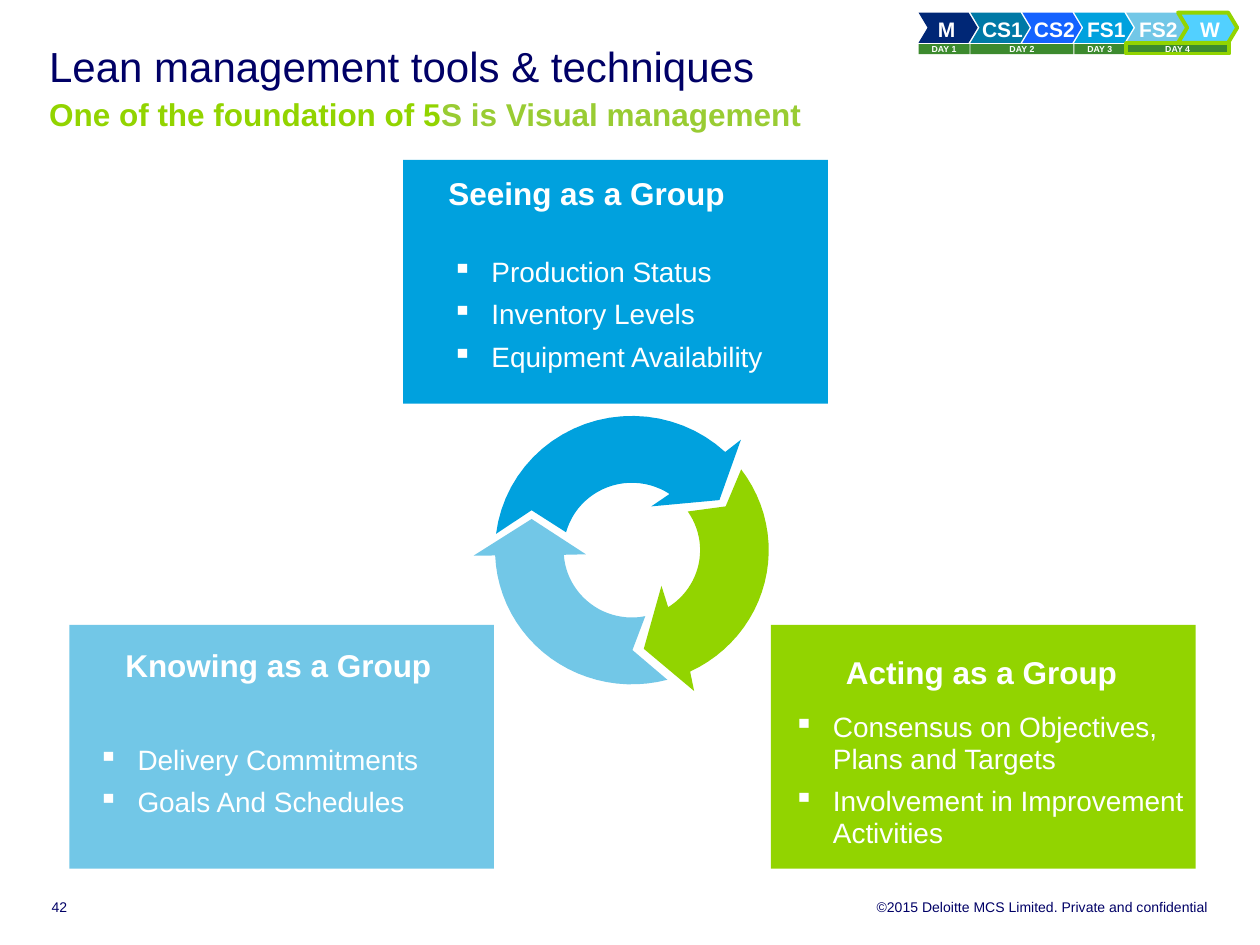
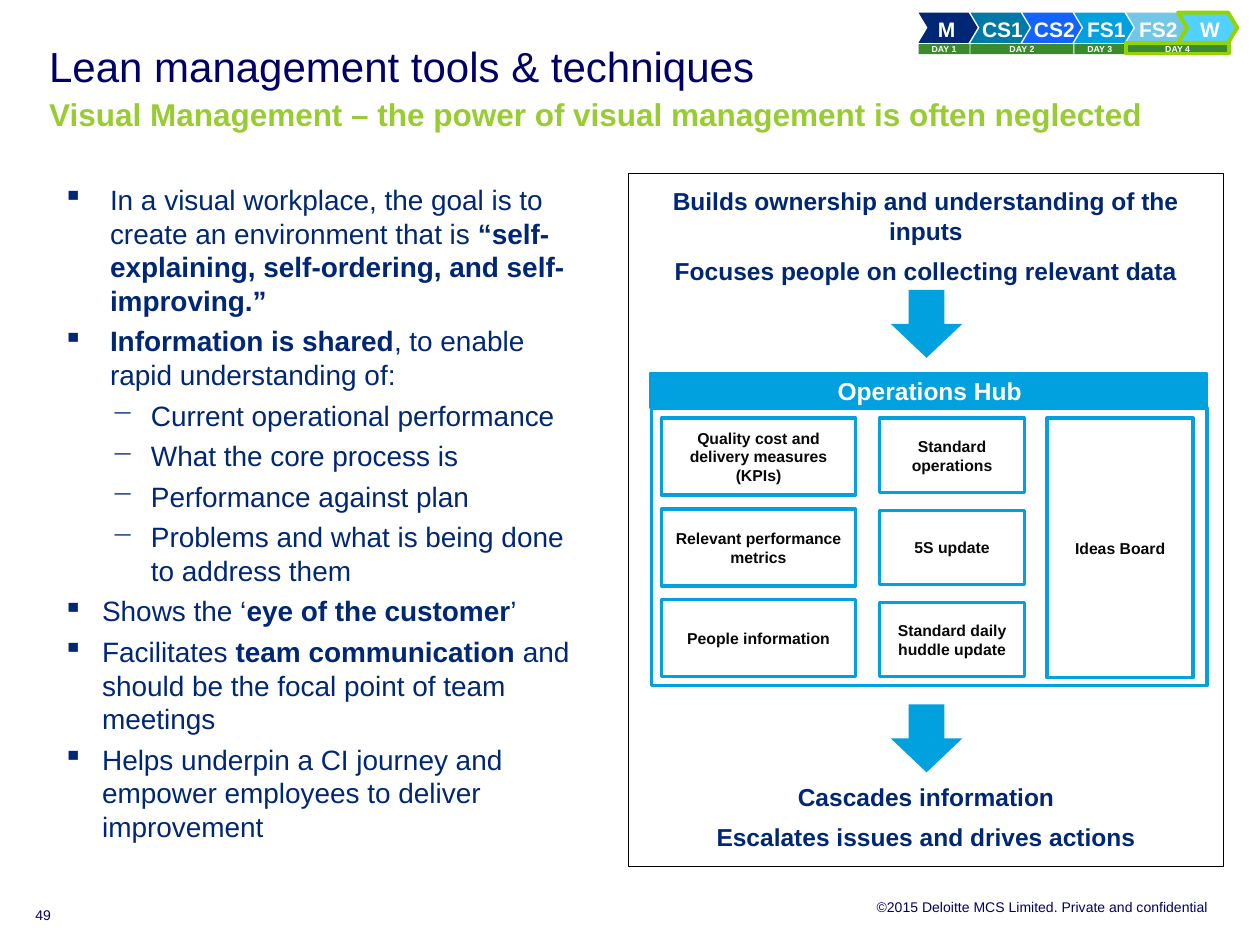
from dataclasses import dataclass
from math import cos, radians, sin

from pptx import Presentation
from pptx.dml.color import RGBColor
from pptx.enum.shapes import MSO_SHAPE
from pptx.enum.text import MSO_ANCHOR, PP_ALIGN
from pptx.oxml.xmlchemy import OxmlElement
from pptx.util import Pt


@dataclass(frozen=True)
class Theme:
    font: str = "Arial"
    title_navy: str = "000066"
    navy: str = "002776"
    teal: str = "0079A6"
    royal: str = "1462FF"
    blue: str = "00A1DE"
    sky: str = "72C7E7"
    bright_sky: str = "52D0FF"
    lime: str = "92D400"
    soft_lime: str = "99CC33"
    day_green: str = "3C8A2E"
    white: str = "FFFFFF"
    black: str = "000000"
    ink: str = "080808"
    title_size: float = 24
    heading_size: float = 18
    body_size: float = 16
    panel_size: float = 14
    step_size: float = 12
    cell_size: float = 9
    footer_size: float = 8
    day_size: float = 5


THEME = Theme()
SQUARE, DASH = "▪", "−"
DEFAULT_INSETS = (7.2, 3.6, 7.2, 3.6)


def write(text_frame, text, *, size, color, bold=False, align=PP_ALIGN.LEFT, line=None,
          before=0, after=0, bullet=None, margin=0, hanging=0, level=0):
    first = text_frame.paragraphs[0]
    is_first = not first.runs
    paragraph = first if is_first else text_frame.add_paragraph()
    paragraph.alignment = align
    paragraph.level = level
    paragraph.space_before = Pt(0 if is_first else before)
    paragraph.space_after = Pt(after)
    if line:
        paragraph.line_spacing = line
    if bullet:
        properties = paragraph._p.get_or_add_pPr()
        properties.set("marL", str(Pt(margin)))
        properties.set("indent", str(-Pt(hanging)))
        character = OxmlElement("a:buChar")
        character.set("char", bullet)
        properties.append(character)
    parts = [(text, {})] if isinstance(text, str) else text
    for content, changes in parts:
        if content == "\n":
            paragraph.add_line_break()
            continue
        run = paragraph.add_run()
        run.text = content
        run.font.name = THEME.font
        run.font.size = Pt(changes.get("size", size))
        run.font.bold = changes.get("bold", bold)
        run.font.color.rgb = RGBColor.from_string(changes.get("color", color))


class SlideBuilder:
    def __init__(self, presentation):
        self.presentation = presentation
        self.theme = THEME
        self.slide = None

    def new_slide(self, title_parts, number, number_box):
        self.slide = self.presentation.slides.add_slide(self.presentation.slide_layouts[6])
        self.footer(number, number_box)
        self.day_tracker()
        frame = self.text_box((28.1, 28.1, 661, 49), insets=(0, 0, 0, 0))
        heading = ("Lean management tools & techniques",
                   {"size": self.theme.title_size, "color": self.theme.title_navy, "bold": False})
        write(frame, [heading, ("\n", {}), *title_parts], size=self.theme.heading_size,
              color=self.theme.soft_lime, bold=True, line=Pt(24))

    def footer(self, number, number_box):
        look = dict(size=self.theme.footer_size, color=self.theme.title_navy)
        frame = self.text_box((244.8, 513.4, 445.7, 9.4), insets=(0, 0, 0, 0))
        write(frame, "©2015 Deloitte MCS Limited. Private and confidential",
              align=PP_ALIGN.RIGHT, **look)
        frame = self.text_box(number_box, insets=(0, 0, 0, 0), anchor=MSO_ANCHOR.BOTTOM)
        write(frame, number, **look)

    def day_tracker(self):
        theme = self.theme
        left, pitch = 524.9, 29.66
        steps = [("M", theme.navy), ("CS1", theme.teal), ("CS2", theme.royal),
                 ("FS1", theme.blue), ("FS2", theme.sky), ("W", theme.bright_sky)]
        for index, (label, fill) in enumerate(steps):
            is_first, is_current = index == 0, label == "W"
            shape = self.shape(MSO_SHAPE.CHEVRON, (left + pitch * index, 7.2, 33.8, 17.3), fill,
                               theme.lime if is_current else None, 2.25)
            shape.adjustments[0] = 0.3
            insets = (5.8, 4.3, 0, 4.3) if is_first else (14.4, 4.3, 11.5, 4.3)
            frame = self.prepare(shape, insets, MSO_ANCHOR.MIDDLE, wrap=False)
            write(frame, label, size=theme.step_size, color=theme.white, bold=True, line=1.1,
                  align=PP_ALIGN.LEFT if is_first else PP_ALIGN.CENTER)
        for day, (start, span) in enumerate([(0, 1), (1, 2), (3, 1), (4, 2)], 1):
            is_current = day == 4
            shape = self.shape(MSO_SHAPE.RECTANGLE,
                               (left + pitch * start, 24.8 if is_current else 25.2,
                                pitch * span - 0.5, 5.8),
                               theme.day_green, theme.lime if is_current else None, 2.25)
            frame = self.prepare(shape, (2.9, 0, 2.9, 0))
            write(frame, f"DAY {day}", size=theme.day_size, color=theme.white, bold=True,
                  align=PP_ALIGN.CENTER)

    def prepare(self, shape, insets=DEFAULT_INSETS, anchor=MSO_ANCHOR.TOP, wrap=True):
        frame = shape.text_frame
        frame.word_wrap = wrap
        frame.vertical_anchor = anchor
        (frame.margin_left, frame.margin_top,
         frame.margin_right, frame.margin_bottom) = map(Pt, insets)
        return frame

    def text_box(self, box, insets=DEFAULT_INSETS, anchor=MSO_ANCHOR.TOP):
        return self.prepare(self.slide.shapes.add_textbox(*map(Pt, box)), insets, anchor)

    def paint(self, shape, fill, line=None, width=1):
        shape.shadow.inherit = False
        if fill:
            shape.fill.solid()
            shape.fill.fore_color.rgb = RGBColor.from_string(fill)
        else:
            shape.fill.background()
        if line:
            shape.line.color.rgb = RGBColor.from_string(line)
            shape.line.width = Pt(width)
        else:
            shape.line.fill.background()
        return shape

    def shape(self, kind, box, fill=None, line=None, width=1):
        return self.paint(self.slide.shapes.add_shape(kind, *map(Pt, box)), fill, line, width)

    def outline(self, points, fill):
        start, *rest = [(Pt(x), Pt(y)) for x, y in points]
        builder = self.slide.shapes.build_freeform(*start, scale=1.0)
        builder.add_line_segments(rest, close=True)
        return self.paint(builder.convert_to_shape(), fill)

    def group_card(self, box, fill, heading, heading_box, heading_align, bullets, bullets_box):
        theme = self.theme
        self.shape(MSO_SHAPE.RECTANGLE, box, fill)
        write(self.text_box(heading_box), heading, size=theme.heading_size, color=theme.white,
              bold=True, align=heading_align)
        frame = self.text_box(bullets_box)
        for bullet in bullets:
            write(frame, bullet, size=theme.body_size, color=theme.white, line=0.95, before=6,
                  bullet=SQUARE, margin=22.5, hanging=22.5)

    def cycle_arrow(self, fill, outer, head, inner, notch):
        points = arc(78.2, 76.7, *outer) + head + arc(39, 38.5, *inner) + [notch]
        self.outline(points, fill)

    def hub_cell(self, box, label):
        shape = self.shape(MSO_SHAPE.RECTANGLE, box, None, self.theme.blue, 2)
        write(self.prepare(shape, anchor=MSO_ANCHOR.MIDDLE), label, size=self.theme.cell_size,
              color=self.theme.ink, bold=True, align=PP_ALIGN.CENTER)

    def statements(self, box, lines):
        frame = self.text_box(box)
        for line in lines:
            write(frame, line, size=self.theme.panel_size, color=self.theme.navy, bold=True,
                  align=PP_ALIGN.CENTER, after=6)


def arc(radius_x, radius_y, start, end, steps=24):
    center_x, center_y = 361.1, 314.4
    angles = [radians(start + (end - start) * step / steps) for step in range(steps + 1)]
    return [(center_x + radius_x * cos(angle), center_y + radius_y * sin(angle))
            for angle in angles]


def build_group_slide(builder):
    theme = builder.theme
    builder.new_slide([("One of the foundation of 5", {"color": theme.lime}),
                       ("S is Visual management", {})], "42", (29.5, 513.4, 149.8, 9.4))
    width, height = 242.7, 139.3
    builder.group_card((440.6, 357.1, width, height), theme.lime,
                       "Acting as a Group", (450, 369.4, 221.8, 28.8), PP_ALIGN.CENTER,
                       ["Consensus on Objectives, Plans and Targets",
                        "Involvement in Improvement Activities"], (446.4, 403.2, 237.6, 87.1))
    builder.group_card((230.4, 91.4, width, height), theme.blue,
                       "Seeing as a Group", (249.1, 95.8, 200, 28.8), PP_ALIGN.LEFT,
                       ["Production Status", "Inventory Levels", "Equipment Availability"],
                       (251.3, 143.2, 203.8, 76))
    builder.group_card((39.6, 357.1, width, height), theme.sky,
                       "Knowing as a Group", (46.8, 365.8, 224.6, 28.8), PP_ALIGN.CENTER,
                       ["Delivery Commitments", "Goals And Schedules"],
                       (49, 422.1, 203.8, 52))
    builder.cycle_arrow(theme.blue, (187, 313),
                        [(423.4, 251.3), (411.1, 285.8), (372.2, 289.4)],
                        (303.5, 195.4), (303.8, 291.6))
    builder.cycle_arrow(theme.sky, (75, 177.7),
                        [(270.7, 317.5), (303.8, 296.6), (334.8, 316.8)],
                        (176, 78.7), (361.4, 371.5))
    builder.cycle_arrow(theme.lime, (-37, 64.8),
                        [(396.7, 394.9), (367.9, 370.8), (378, 334.8)],
                        (57.9, -35), (414.7, 289.4))


def build_visual_management_slide(builder):
    theme = builder.theme
    builder.new_slide(
        [("Visual Management – the power of visual management is often neglected", {})],
        "49", (20.2, 511.2, 67, 16.6))
    builder.shape(MSO_SHAPE.RECTANGLE, (359.3, 99.4, 339.8, 396), theme.white, theme.black, 0.5)

    bold = {"bold": True}
    intro = dict(bullet=SQUARE, margin=27, hanging=27)
    detail = dict(bullet=DASH, margin=50.4, hanging=22.5, level=1)
    benefit = dict(bullet=SQUARE, margin=22.5, hanging=22.5)
    points = [
        ([("In a visual workplace, the goal is to create an environment that is ", {}),
          ("“self-explaining, self-ordering, and self-improving.”", bold)], intro),
        ([("Information is shared", bold), (", to enable rapid understanding of:", {})], intro),
        ("Current operational performance", detail),
        ("What the core process is", detail),
        ("Performance against plan", detail),
        ("Problems and what is being done to address them", detail),
        ([("Shows the ‘", {}), ("eye of the customer", bold), ("’", {})], benefit),
        ([("Facilitates ", {}), ("team communication ", bold),
          ("and should be the focal point of team meetings", {})], benefit),
        ("Helps underpin a CI journey and empower employees to deliver improvement", benefit),
    ]
    frame = builder.text_box((28.8, 100.8, 307.4, 388.1))
    for text, layout in points:
        write(frame, text, size=theme.body_size, color=theme.navy, after=4, **layout)

    builder.shape(MSO_SHAPE.RECTANGLE, (372.2, 233.3, 317.5, 158.4), None, theme.blue, 2)
    hub_columns = [
        (378, 110.9, 43.9, 51.84, ["Quality cost and delivery measures (KPIs)",
                                   "Relevant performance metrics", "People information"]),
        (502.6, 82.8, 42.5, 52.6, ["Standard operations", "5S update",
                                   "Standard daily huddle update"]),
        (598.3, 83.5, 148.3, 0, ["Ideas Board"]),
    ]
    for left, width, height, pitch, labels in hub_columns:
        for row, label in enumerate(labels):
            builder.hub_cell((left, 239 + pitch * row, width, height), label)
    banner = builder.shape(MSO_SHAPE.RECTANGLE, (371.5, 213.1, 318.2, 20.2),
                           theme.blue, theme.blue)
    write(builder.prepare(banner, (4.3, 2.9, 2.9, 2.9), MSO_ANCHOR.MIDDLE, wrap=False),
          "Operations Hub", size=theme.panel_size, color=theme.white, bold=True,
          align=PP_ALIGN.CENTER)

    for top in (165.6, 402.5):
        builder.shape(MSO_SHAPE.DOWN_ARROW, (509, top, 41, 38.9), theme.blue)
    builder.statements((365, 103, 328.3, 64.1),
                       ["Builds ownership and understanding of the inputs",
                        "Focuses people on collecting relevant data"])
    builder.statements((393.1, 443.5, 272.2, 47.5),
                       ["Cascades information", "Escalates issues and drives actions"])


def main():
    presentation = Presentation()
    presentation.slide_width, presentation.slide_height = Pt(720), Pt(540)
    builder = SlideBuilder(presentation)
    build_group_slide(builder)
    build_visual_management_slide(builder)
    presentation.save("out.pptx")


if __name__ == "__main__":
    main()
